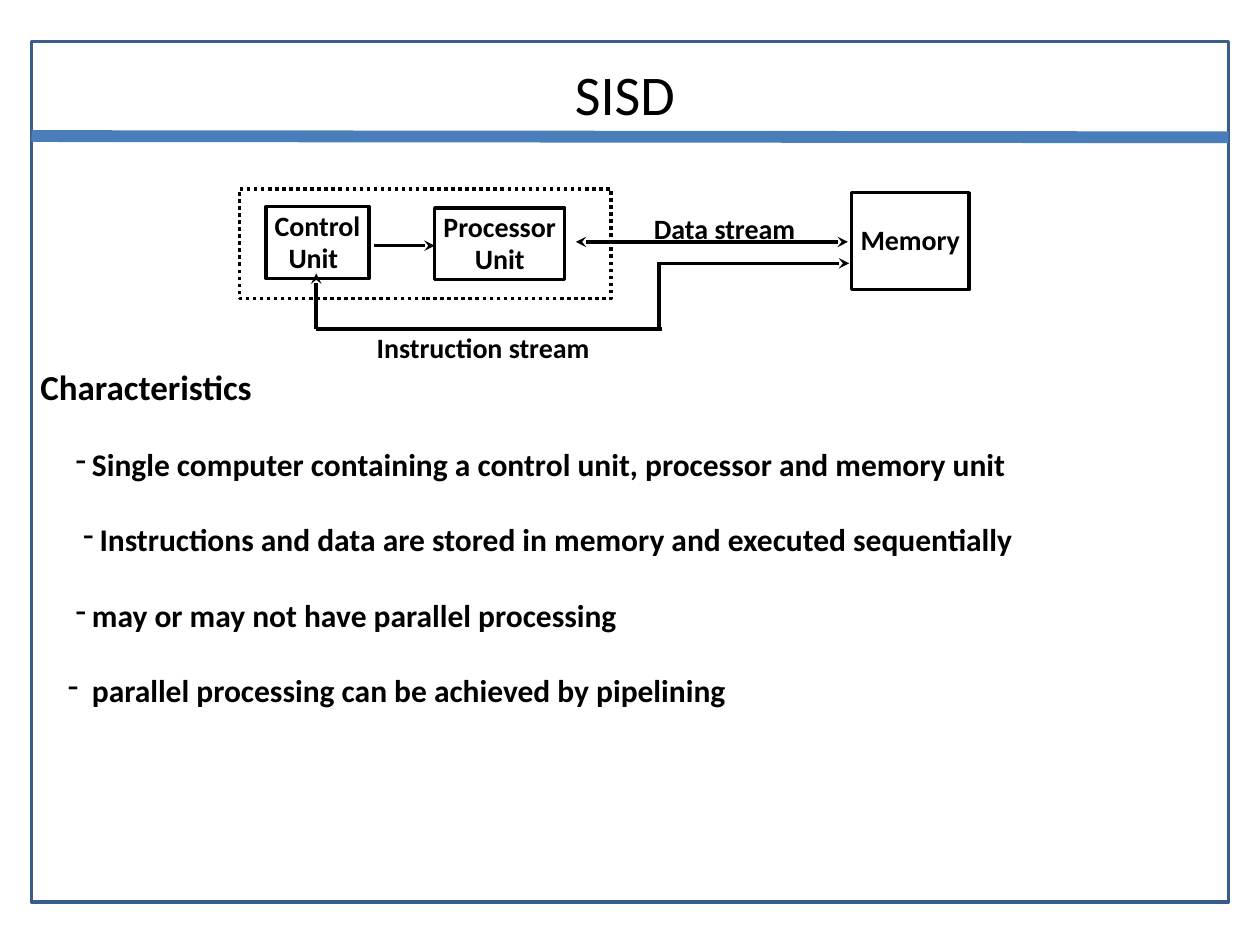
from lxml.etree import SubElement
from pptx import Presentation
from pptx.dml.color import RGBColor
from pptx.enum.dml import MSO_LINE
from pptx.enum.shapes import MSO_CONNECTOR, MSO_SHAPE
from pptx.enum.text import MSO_ANCHOR, PP_ALIGN
from pptx.oxml.ns import qn
from pptx.util import Inches, Pt

BLACK, FRAME_BLUE, RULE_BLUE = "000000", "385D8A", "4A7EBB"

deck = Presentation()
deck.slide_width, deck.slide_height = Inches(10), Inches(7.5)
page = deck.slides.add_slide(deck.slide_layouts[6])


def color(value):
    return RGBColor.from_string(value)


def write(frame, lines, size=16, bold=True, align=PP_ALIGN.LEFT, spacing=1.0,
          wrap=False, anchor=MSO_ANCHOR.TOP, inset=(0.07, 0.03)):
    """Fill a text frame with lines given as (text, left indent in inches)."""
    frame.word_wrap = wrap
    frame.vertical_anchor = anchor
    frame.margin_left = frame.margin_right = Inches(inset[0])
    frame.margin_top = frame.margin_bottom = Inches(inset[1])
    for number, (text, indent) in enumerate(lines):
        para = frame.add_paragraph() if number else frame.paragraphs[0]
        para.alignment = align
        para.line_spacing = spacing
        if indent:
            para._p.get_or_add_pPr().set("marL", str(Inches(indent)))
        span = para.add_run()
        span.text = text
        span.font.name = "Calibri"
        span.font.size = Pt(size)
        span.font.bold = bold
        span.font.color.rgb = color(BLACK)


# Slide frame, dotted processor group and the three unit boxes
boxes = [
    ((0.25, 0.33, 9.5, 6.83), FRAME_BLUE, None, [], 1),
    ((1.9, 1.5, 2.95, 0.87), BLACK, MSO_LINE.ROUND_DOT, [], 1),
    ((2.11, 1.64, 0.82, 0.57), BLACK, None, [("Control", 0), ("Unit", 0.11)], 0.96),
    ((3.45, 1.65, 1.03, 0.57), BLACK, None, [("Processor", 0), ("Unit", 0.25)], 0.96),
    ((6.76, 1.53, 0.93, 0.77), BLACK, None, [("Memory", 0)], 0.87),
]
for place, line_color, dash, lines, spacing in boxes:
    box = page.shapes.add_shape(MSO_SHAPE.RECTANGLE, *map(Inches, place))
    box.shadow.inherit = False
    box.fill.background()
    box.line.color.rgb = color(line_color)
    box.line.width = Pt(2)
    if dash:
        box.line.dash_style = dash
    write(box.text_frame, lines, spacing=spacing, anchor=MSO_ANCHOR.MIDDLE)

# Title rule, then the data and instruction paths; ends name the arrowheads
connections = [
    ((0.25, 1.08, 9.75, 1.09), RULE_BLUE, 6.75, ()),
    ((2.97, 1.95, 3.45, 1.95), BLACK, 2, ("tailEnd",)),
    ((4.57, 1.92, 6.73, 1.92), BLACK, 2, ("headEnd", "tailEnd")),
    ((2.51, 2.61, 2.51, 2.17), BLACK, 2, ("tailEnd",)),
    ((2.51, 2.61, 5.25, 2.61), BLACK, 2, ()),
    ((5.23, 2.6, 5.23, 2.08), BLACK, 2, ()),
    ((5.24, 2.09, 6.74, 2.09), BLACK, 2, ("tailEnd",)),
]
for points, line_color, width, ends in connections:
    line = page.shapes.add_connector(MSO_CONNECTOR.STRAIGHT, *map(Inches, points))
    line.line.color.rgb = color(line_color)
    line.line.width = Pt(width)
    for end in ends:
        SubElement(line.line._ln, qn(f"a:{end}"), type="stealth")
    SubElement(line._element.spPr, qn("a:effectLst"))

title = page.shapes.add_textbox(Inches(0.75), Inches(0.42), Inches(8.42), Inches(0.64))
write(title.text_frame, [("SISD", 0)], size=32, bold=False, align=PP_ALIGN.CENTER,
      wrap=True, inset=(0.1, 0.05))

for text, left, top, width in [("Instruction stream", 2.92, 2.59, 1.84),
                               ("Data stream", 5.12, 1.65, 1.27)]:
    label = page.shapes.add_textbox(Inches(left), Inches(top), Inches(width), Inches(0.32))
    write(label.text_frame, [(text, 0)])

# Characteristics: a heading and dash bullets with (text, indent, hanging)
points = [
    ("Single computer containing a control unit, processor and memory unit", 0.41, 0.13),
    ("Instructions and data are stored in memory and executed sequentially", 0.47, 0.13),
    ("may or may not have parallel processing", 0.41, 0.13),
    ("parallel processing can be achieved by pipelining", 0.41, 0.19),
]
body = page.shapes.add_textbox(Inches(0.25), Inches(2.92), Inches(9.5), Inches(2.74))
write(body.text_frame, [("Characteristics", 0)] + [point[:2] for point in points],
      size=18, wrap=True)
heading, *bullets = body.text_frame.paragraphs
heading.line_spacing = 0.85
heading.runs[0].font.size = Pt(20)
for para, (text, indent, hanging) in zip(bullets, points):
    para.space_before = Pt(21.5)
    properties = para._p.get_or_add_pPr()
    properties.set("indent", str(-Inches(hanging)))
    SubElement(properties, qn("a:buChar"), char="-")

deck.save("out.pptx")
